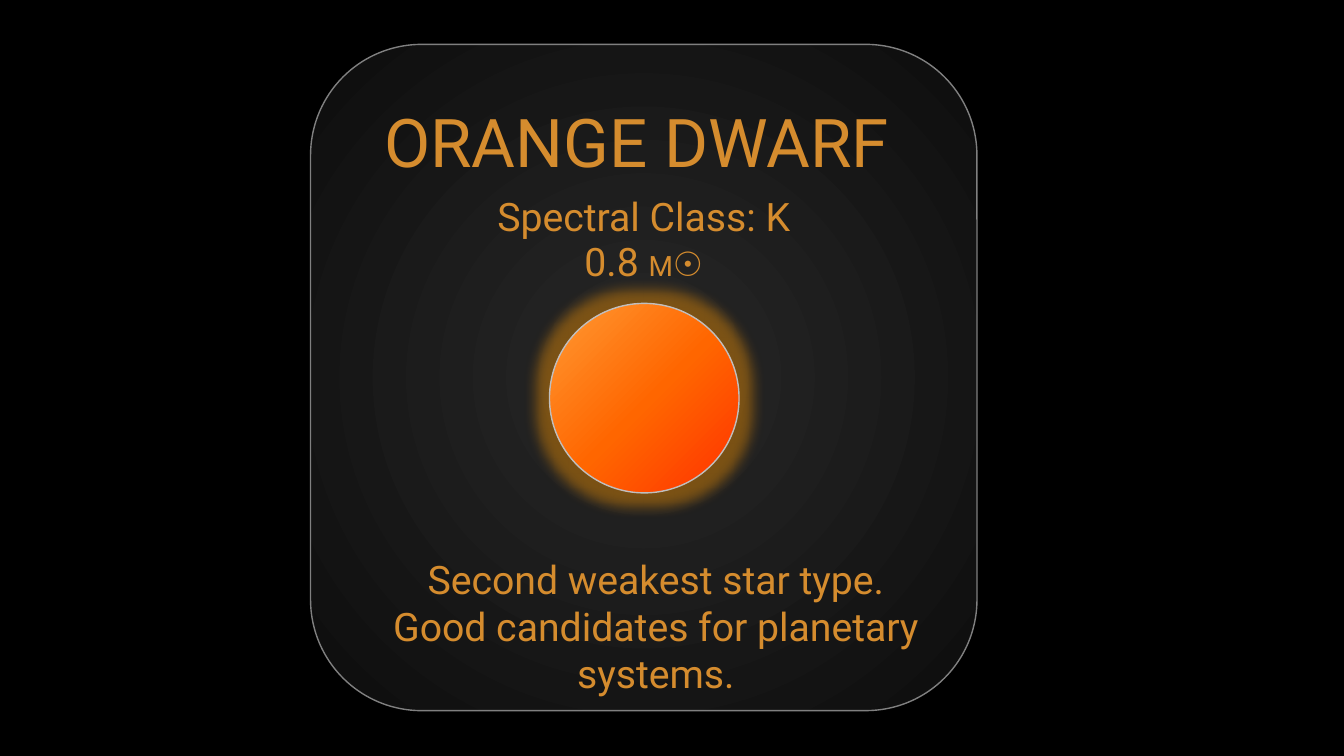
from lxml import etree
from pptx import Presentation
from pptx.dml.color import RGBColor
from pptx.enum.shapes import MSO_SHAPE
from pptx.enum.text import MSO_AUTO_SIZE, PP_ALIGN
from pptx.oxml import parse_xml
from pptx.oxml.ns import nsdecls, qn
from pptx.util import Inches, Pt

BLACK = RGBColor(0x00, 0x00, 0x00)
CARD_CENTER = RGBColor(0x26, 0x26, 0x26)
CARD_EDGE = RGBColor(0x0D, 0x0D, 0x0D)
CARD_LINE = RGBColor(0x80, 0x80, 0x80)
STAR_RED = RGBColor(0xFF, 0x33, 0x00)
STAR_ORANGE = RGBColor(0xFF, 0x66, 0x00)
STAR_LIGHT = RGBColor(0xFF, 0x99, 0x33)
STAR_LINE = RGBColor(0xBF, 0xBF, 0xBF)
GLOW = RGBColor(0xFF, 0x99, 0x00)
TEXT = RGBColor(0xD5, 0x8C, 0x2E)
FONT = "Roboto"

RADIAL = ('<a:path path="circle"><a:fillToRect l="50000" t="50000" '
          'r="50000" b="50000"/></a:path>')
TOWARDS_TOP_LEFT = '<a:lin ang="13500000" scaled="0"/>'


def set_gradient(shape, stops, direction):
    """Fill with (percent, colour) stops running in an a:lin or a:path direction."""
    stop_xml = "".join(
        f'<a:gs pos="{percent * 1000}"><a:srgbClr val="{color}"/></a:gs>'
        for percent, color in stops)
    gradient = parse_xml(f'<a:gradFill {nsdecls("a")} rotWithShape="1">'
                         f'<a:gsLst>{stop_xml}</a:gsLst>{direction}</a:gradFill>')
    shape.fill.background()
    properties = shape._element.spPr
    properties.replace(properties.find(qn("a:noFill")), gradient)


def add_gradient_shape(group, preset, left, top, size, stops, direction, line_color):
    shape = group.shapes.add_shape(
        preset, Inches(left), Inches(top), Inches(size), Inches(size))
    shape.shadow.inherit = False
    set_gradient(shape, stops, direction)
    shape.line.color.rgb = line_color
    shape.line.width = Pt(1)
    return shape


def add_glow(shape, color, radius, opacity):
    effects = shape._element.spPr.find(qn("a:effectLst"))
    glow = etree.SubElement(effects, qn("a:glow"), rad=str(radius))
    glow_color = etree.SubElement(glow, qn("a:srgbClr"), val=str(color))
    etree.SubElement(glow_color, qn("a:alpha"), val=str(opacity * 1000))


def add_text(group, left, top, width, height, *runs):
    """Add a centred line of (text, point size) runs."""
    text_box = group.shapes.add_textbox(
        Inches(left), Inches(top), Inches(width), Inches(height))
    text_frame = text_box.text_frame
    text_frame.word_wrap = True
    text_frame.auto_size = MSO_AUTO_SIZE.SHAPE_TO_FIT_TEXT
    paragraph = text_frame.paragraphs[0]
    paragraph.alignment = PP_ALIGN.CENTER
    for text, size in runs:
        run = paragraph.add_run()
        run.text = text
        run.font.size = Pt(size)
        run.font.name = FONT
        run.font.color.rgb = TEXT


def main():
    presentation = Presentation()
    presentation.slide_width = Inches(13.33)
    presentation.slide_height = Inches(7.5)
    slide = presentation.slides.add_slide(presentation.slide_layouts[6])
    slide.background.fill.solid()
    slide.background.fill.fore_color.rgb = BLACK

    card = slide.shapes.add_group_shape()
    add_gradient_shape(card, MSO_SHAPE.ROUNDED_RECTANGLE, 3.08, 0.44, 6.61,
                       [(8, CARD_CENTER), (100, CARD_EDGE)], RADIAL, CARD_LINE)
    star = add_gradient_shape(
        card, MSO_SHAPE.OVAL, 5.45, 3.01, 1.88,
        [(1, STAR_RED), (48, STAR_ORANGE), (100, STAR_LIGHT)],
        TOWARDS_TOP_LEFT, STAR_LINE)
    add_glow(star, GLOW, Pt(18), 40)

    add_text(card, 3.49, 0.95, 5.65, 0.91, ("ORANGE DWARF", 48))
    add_text(card, 3.76, 5.46, 5.49, 1.51,
             ("Second weakest star type. Good candidates for planetary systems.", 28))
    add_text(card, 3.64, 1.86, 5.49, 0.57, ("Spectral Class: K", 28))
    add_text(card, 5.66, 2.31, 1.45, 0.57, ("0.8 ", 28), ("M", 20), ("☉", 24))

    presentation.save("out.pptx")


if __name__ == "__main__":
    main()
